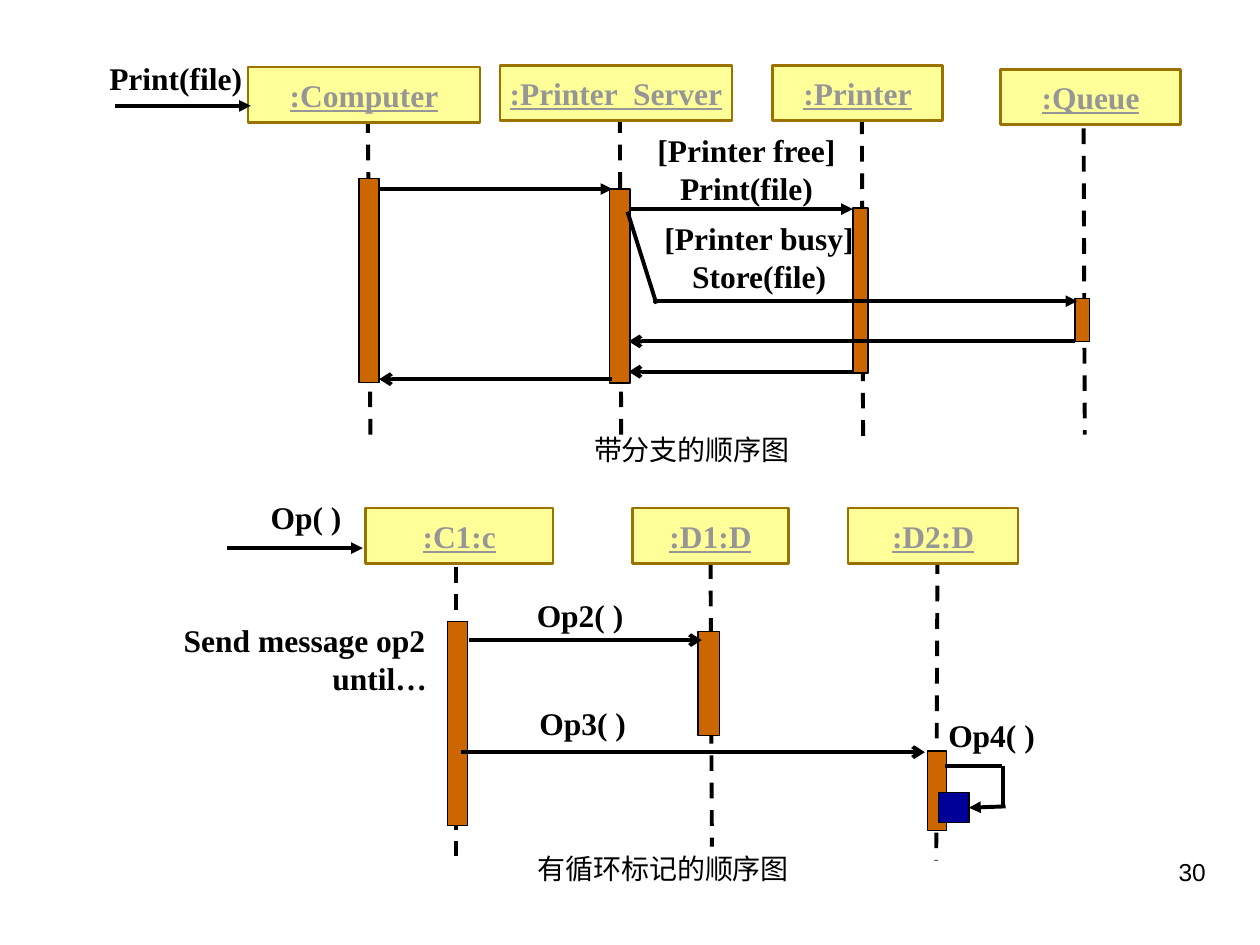
from dataclasses import dataclass

from lxml import etree
from pptx import Presentation
from pptx.dml.color import RGBColor
from pptx.enum.dml import MSO_LINE
from pptx.enum.shapes import MSO_CONNECTOR, MSO_SHAPE
from pptx.enum.text import MSO_ANCHOR, PP_ALIGN
from pptx.oxml.ns import qn
from pptx.util import Pt

RECTANGLE = MSO_SHAPE.RECTANGLE
STRAIGHT = MSO_CONNECTOR.STRAIGHT
DASH = MSO_LINE.DASH
MIDDLE = MSO_ANCHOR.MIDDLE
LEFT, CENTER, RIGHT = PP_ALIGN.LEFT, PP_ALIGN.CENTER, PP_ALIGN.RIGHT
BOTTOM_SIDE, RIGHT_SIDE = 2, 3


@dataclass(frozen=True)
class Theme:
    serif: str = "Times New Roman"
    sans: str = "Arial"
    chinese: str = "Noto Sans CJK SC"
    ink: str = "000000"
    head_fill: str = "FFFF99"
    head_line: str = "9A7200"
    head_text: str = "969696"
    bar_fill: str = "CC6600"
    loop_fill: str = "000099"
    label_size: float = 18
    caption_size: float = 16
    number_size: float = 14
    stroke: float = 2.25
    head_stroke: float = 1.5
    bar_stroke: float = 0.75


THEME = Theme()
HEAD_HEIGHT = 31.7

# name, head (left, top, width), lifeline (x1, y1, x2, y2), bar (left, top, width, height)
PARTICIPANTS = [
    (":Computer", (141.8, 38.2, 132.5), (210.2, 67, 211.7, 249.8), (205.2, 102.2, 11.5, 116.6)),
    (":Printer  Server", (285.8, 37.4, 132.5), (354.2, 67, 355, 249.8), (348.5, 108, 11.5, 110.9)),
    (":Printer", (441.4, 37.4, 97.2), (492.5, 67.7, 493.2, 250.6), (487.4, 118.8, 8.6, 94.3)),
    (":Queue", (571.7, 39.6, 103), (619.2, 73.4, 619.9, 248.4), (614.2, 170.6, 8.6, 24.5)),
    (":C1:c", (208.8, 290.2, 107.3), (260.6, 324, 260.6, 488.9), (255.6, 355, 11.5, 116.6)),
    (":D1:D", (361.4, 290.2, 89.3), (406.8, 320.4, 406.8, 483.8), (398.9, 360.7, 12.2, 59.8)),
    (":D2:D", (484.6, 290.2, 97.2), (535.7, 319, 535, 491.8), (529.9, 429.1, 10.8, 45.4)),
]
CENTERED_LIFELINES = {":D1:D"}

# x1, y1, x2, y2, arrowhead
MESSAGES = [
    (65.5, 60.5, 143.3, 60.5, "triangle"),
    (217.4, 108, 349.9, 108, "triangle"),
    (349.9, 216.7, 216.7, 216.7, "arrow"),
    (359.3, 119.5, 487.4, 119.5, "triangle"),
    (358.6, 121, 375.1, 173.5, None),
    (373, 172.1, 615.6, 172.1, "triangle"),
    (614.2, 195.1, 359.3, 195.1, "arrow"),
    (487.4, 212.4, 359.3, 212.4, "arrow"),
    (129.6, 313.2, 207.4, 313.2, "triangle"),
    (267.8, 365.8, 401, 365.8, "arrow"),
    (263.5, 429.8, 528.5, 429.8, "arrow"),
    (540, 437.8, 572.4, 437.8, None),
    (573.1, 437.8, 573.1, 460.8, None),
]
LOOP_BOX = (536.4, 452.9, 17.3, 17.3)
LOOP_RETURN = (574.6, 460.8, 553.7, 461.5)

# lines of text, box (left, top, width, height), alignment, indent of the last line
LABELS = [
    (["Print(file)"], (55.4, 30.2, 119.5, 28.8), LEFT, 0),
    (["[Printer free]", "Print(file)"], (358.6, 71.3, 136, 50.4), CENTER, 0),
    (["[Printer busy]", "Store(file)"], (365.8, 121.7, 136, 50.4), CENTER, 0),
    (["Op( )"], (147.6, 280.8, 76.3, 28.8), LEFT, 0),
    (["Op2( )"], (263.5, 337, 136, 28.8), CENTER, 0),
    (["Op3( )"], (265, 398.9, 136, 28.8), CENTER, 0),
    (["Op4( )"], (519.1, 405.4, 95, 28.8), CENTER, 0),
    (["Send message op2", "until…"], (97.9, 351.4, 167.8, 50.4), LEFT, 85),
]
CAPTIONS = [
    ("带分支的顺序图", (248.4, 243.4, 293.8, 26.6), CENTER),
    ("有循环标记的顺序图", (300.2, 483.1, 247, 26.6), LEFT),
]
PAGE_NUMBER = ("30", (516.2, 486, 180, 37.4))


def color(value):
    return RGBColor.from_string(value)


def add_text(para, text, size, ink=THEME.ink, font=THEME.serif, bold=False, underline=False):
    span = para.add_run()
    span.text = text
    span.font.name = font
    span.font.size = Pt(size)
    span.font.bold = bold
    span.font.underline = underline
    span.font.color.rgb = color(ink)
    return span


def add_box(page, frame, fill, line, width):
    box = page.shapes.add_shape(RECTANGLE, *map(Pt, frame))
    box.shadow.inherit = False
    box.fill.solid()
    box.fill.fore_color.rgb = color(fill)
    box.line.color.rgb = color(line)
    box.line.width = Pt(width)
    return box


def add_line(page, ends, arrowhead=None, dashed=False):
    line = page.shapes.add_connector(STRAIGHT, *map(Pt, ends))
    line.line.color.rgb = color(THEME.ink)
    line.line.width = Pt(THEME.stroke)
    if dashed:
        line.line.dash_style = DASH
    if arrowhead:
        etree.SubElement(line.line._get_or_add_ln(), qn("a:tailEnd"), type=arrowhead)
    etree.SubElement(line._element.spPr, qn("a:effectLst"))
    return line


def add_text_box(page, frame):
    box = page.shapes.add_textbox(*map(Pt, frame))
    box.text_frame.word_wrap = True
    return box.text_frame


def add_participant(page, name, head, lifeline, bar):
    line = add_line(page, lifeline, dashed=True)
    box = add_box(page, (*head, HEAD_HEIGHT), THEME.head_fill, THEME.head_line, THEME.head_stroke)
    if name in CENTERED_LIFELINES:
        line.begin_connect(box, BOTTOM_SIDE)
    box.text_frame.word_wrap = False
    box.text_frame.vertical_anchor = MIDDLE
    para = box.text_frame.paragraphs[0]
    para.alignment = CENTER
    add_text(para, name, THEME.label_size, THEME.head_text, bold=True, underline=True)
    add_box(page, bar, THEME.bar_fill, THEME.ink, THEME.bar_stroke)


def add_label(page, lines, frame, alignment, indent):
    text_frame = add_text_box(page, frame)
    for index, text in enumerate(lines):
        para = text_frame.add_paragraph() if index else text_frame.paragraphs[0]
        para.alignment = alignment
        add_text(para, text, THEME.label_size, bold=True)
    if indent:
        para._p.get_or_add_pPr().set("marL", str(Pt(indent)))


def add_caption(page, text, frame, alignment):
    para = add_text_box(page, frame).paragraphs[0]
    para.alignment = alignment
    span = add_text(para, text, THEME.caption_size)
    etree.SubElement(span.font._element, qn("a:ea"), typeface=THEME.chinese)


def main():
    deck = Presentation()
    deck.slide_width, deck.slide_height = Pt(720), Pt(540)
    page = deck.slides.add_slide(deck.slide_layouts[6])

    for participant in PARTICIPANTS:
        add_participant(page, *participant)
    for *ends, arrowhead in MESSAGES:
        add_line(page, ends, arrowhead)
    loop_box = add_box(page, LOOP_BOX, THEME.loop_fill, THEME.ink, THEME.bar_stroke)
    add_line(page, LOOP_RETURN, "triangle").end_connect(loop_box, RIGHT_SIDE)

    for label in LABELS:
        add_label(page, *label)
    for caption in CAPTIONS:
        add_caption(page, *caption)
    number, frame = PAGE_NUMBER
    para = add_text_box(page, frame).paragraphs[0]
    para.alignment = RIGHT
    add_text(para, number, THEME.number_size, font=THEME.sans)

    deck.save("out.pptx")


if __name__ == "__main__":
    main()
